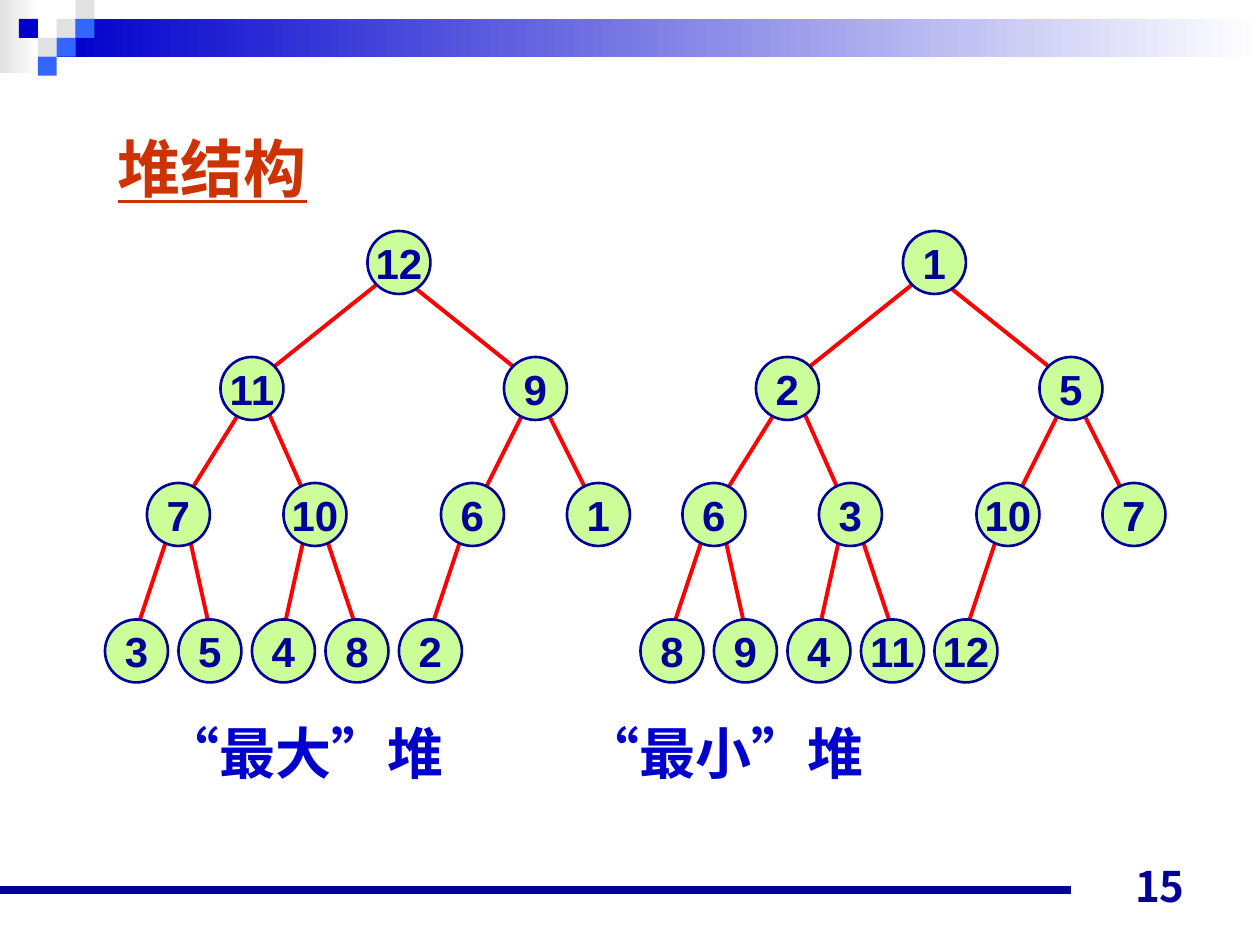
from lxml import etree
from pptx import Presentation
from pptx.dml.color import RGBColor
from pptx.enum.lang import MSO_LANGUAGE_ID
from pptx.enum.shapes import MSO_CONNECTOR, MSO_SHAPE
from pptx.enum.text import MSO_ANCHOR, MSO_AUTO_SIZE, PP_ALIGN
from pptx.oxml.ns import qn
from pptx.util import Pt

RECTANGLE, OVAL, STRAIGHT = MSO_SHAPE.RECTANGLE, MSO_SHAPE.OVAL, MSO_CONNECTOR.STRAIGHT
LEFT, CENTER, RIGHT = PP_ALIGN.LEFT, PP_ALIGN.CENTER, PP_ALIGN.RIGHT
TOP, MIDDLE, BOTTOM = MSO_ANCHOR.TOP, MSO_ANCHOR.MIDDLE, MSO_ANCHOR.BOTTOM
NO_FIT, CHINESE = MSO_AUTO_SIZE.NONE, MSO_LANGUAGE_ID.SIMPLIFIED_CHINESE

COLORS = {
    "navy": "000099", "blue": "0000CC", "sky": "3366FF", "gray": "E1E1E1",
    "white": "FFFFFF", "title": "CC3300", "edge": "FF0000", "node": "CCFF99",
}
COLORS = {name: RGBColor.from_string(value) for name, value in COLORS.items()}
CHINESE_FONT = "Noto Sans CJK SC"


def write(shape, text, size, color, font="Arial", align=LEFT, anchor=TOP):
    frame = shape.text_frame
    frame.text = text
    frame.auto_size = NO_FIT
    frame.vertical_anchor = anchor
    para = frame.paragraphs[0]
    para.alignment = align
    span = para.runs[0]
    span.font.size = Pt(size)
    span.font.bold = True
    span.font.name = font
    span.font.color.rgb = COLORS[color]
    span.font.language_id = CHINESE
    etree.SubElement(span._r.get_or_add_rPr(), qn("a:ea"), typeface=CHINESE_FONT)
    return span


def draw_line(start, end, color, width):
    line = page.shapes.add_connector(STRAIGHT, *map(Pt, start + end))
    line.line.color.rgb = COLORS[color]
    line.line.width = Pt(width)
    etree.SubElement(line._element.spPr, qn("a:effectLst"))


deck = Presentation()
deck.slide_width, deck.slide_height = Pt(720), Pt(540)
page = deck.slides.add_slide(deck.slide_layouts[5])

for left, top, width, height, color in [(0, 0, 22, 42, "gray"), (32.5, 11, 687.5, 21.5, "blue")]:
    band = page.shapes.add_shape(RECTANGLE, Pt(left), Pt(top), Pt(width), Pt(height))
    band.shadow.inherit = False
    band.line.fill.background()
    band.fill.gradient()
    band.fill.gradient_angle = 0
    for stop, name, position in zip(band.fill.gradient_stops, (color, "white"), (0, 1)):
        stop.color.rgb = COLORS[name]
        stop.position = position

TILE = 10.8
TILES = [(3, 1, "gray"), (4, 0, "gray"), (4, 1, "sky"), (2, 2, "gray"),
         (1, 1, "blue"), (3, 2, "sky"), (2, 3, "sky")]
for column, row, color in TILES:
    tile = page.shapes.add_shape(RECTANGLE, Pt(column * TILE), Pt(row * TILE), Pt(TILE), Pt(TILE))
    tile.shadow.inherit = False
    tile.line.fill.background()
    tile.fill.solid()
    tile.fill.fore_color.rgb = COLORS[color]

draw_line((0, 508.5), (612, 508.5), "navy", 4.5)

title = page.shapes.title
title.left, title.top, title.width, title.height = Pt(60), Pt(65.5), Pt(199), Pt(60)
write(title, "堆结构", 36, "title", anchor=MIDDLE).font.underline = True

DIAMETER = 36
CENTERS_X = [228, 144, 306, 102, 180, 270, 342, 78, 120, 162, 204, 246]
LEVELS_Y = [150, 222, 294, 372]
CHILD_INSETS = [0, 12, 6, 0]
SHIFTED_STARTS = {1: (-12, 12), 4: (6, 6)}
HEAPS = [
    (0, [12, 11, 9, 7, 10, 6, 1, 3, 5, 4, 8, 2]),
    (306, [1, 2, 5, 6, 3, 10, 7, 8, 9, 4, 11, 12]),
]
for offset, keys in HEAPS:
    levels = [(index + 1).bit_length() - 1 for index in range(len(keys))]
    centers = [(offset + x, LEVELS_Y[level]) for x, level in zip(CENTERS_X, levels)]
    for child in range(1, len(keys)):
        parent_x, parent_y = centers[(child - 1) // 2]
        child_x, child_y = centers[child]
        side = -1 if child % 2 else 1
        start_x, start_y = SHIFTED_STARTS.get(child, (side * 6, 12))
        inset = side * CHILD_INSETS[levels[child]]
        draw_line((parent_x + start_x, parent_y + start_y),
                  (child_x - inset, child_y - 12), "edge", 2.25)
    for key, (x, y) in zip(keys, centers):
        node = page.shapes.add_shape(OVAL, Pt(x - DIAMETER / 2), Pt(y - DIAMETER / 2),
                                     Pt(DIAMETER), Pt(DIAMETER))
        node.shadow.inherit = False
        node.fill.solid()
        node.fill.fore_color.rgb = COLORS["node"]
        node.line.color.rgb = COLORS["navy"]
        node.line.width = Pt(1.5)
        frame = node.text_frame
        frame.margin_left = frame.margin_right = frame.margin_top = frame.margin_bottom = 0
        frame.word_wrap = False
        write(node, str(key), 24, "navy", align=CENTER, anchor=MIDDLE)

for left, caption in [(86.5, "“最大”堆"), (326.5, "“最小”堆")]:
    box = page.shapes.add_textbox(Pt(left), Pt(407), Pt(180), Pt(46))
    write(box, caption, 32, "blue", CHINESE_FONT)

number = page.shapes.add_textbox(Pt(516), Pt(488), Pt(168), Pt(36))
write(number, "15", 24, "navy", "Noto Sans CJK JP", RIGHT, BOTTOM)

deck.save("out.pptx")
